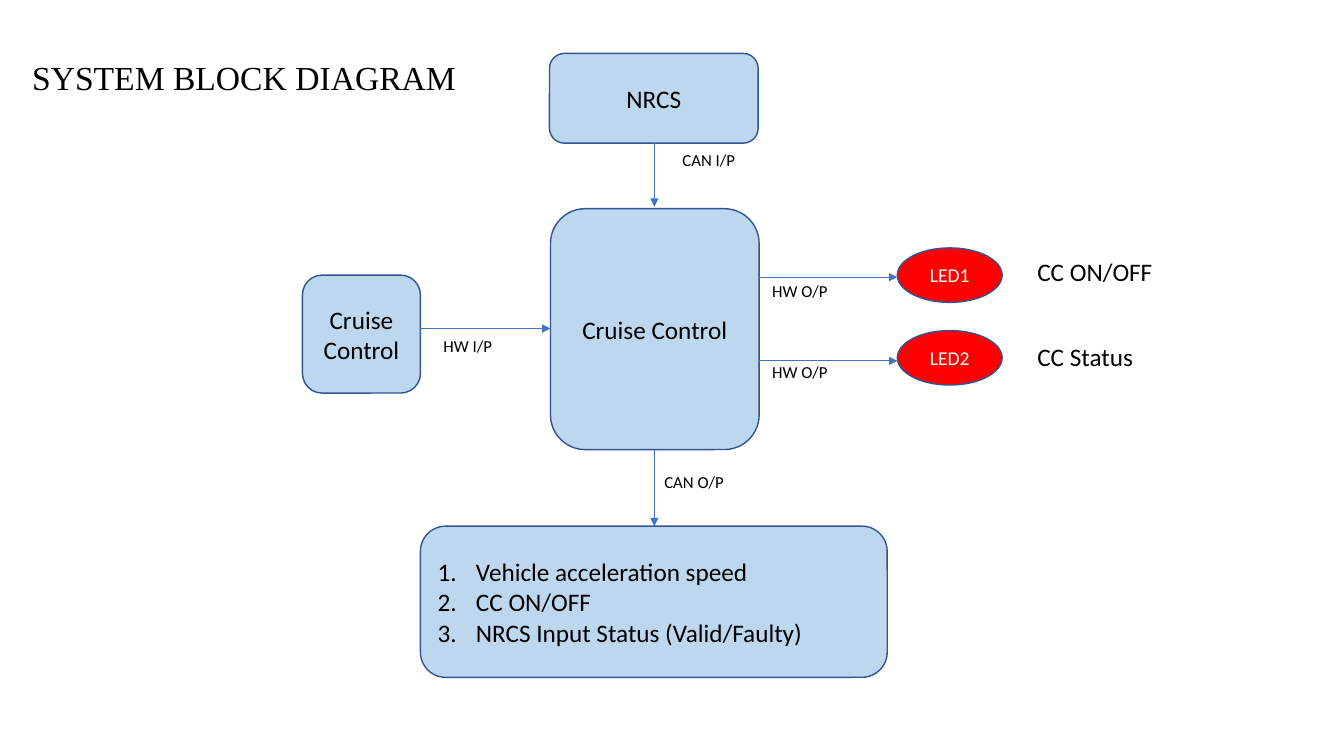
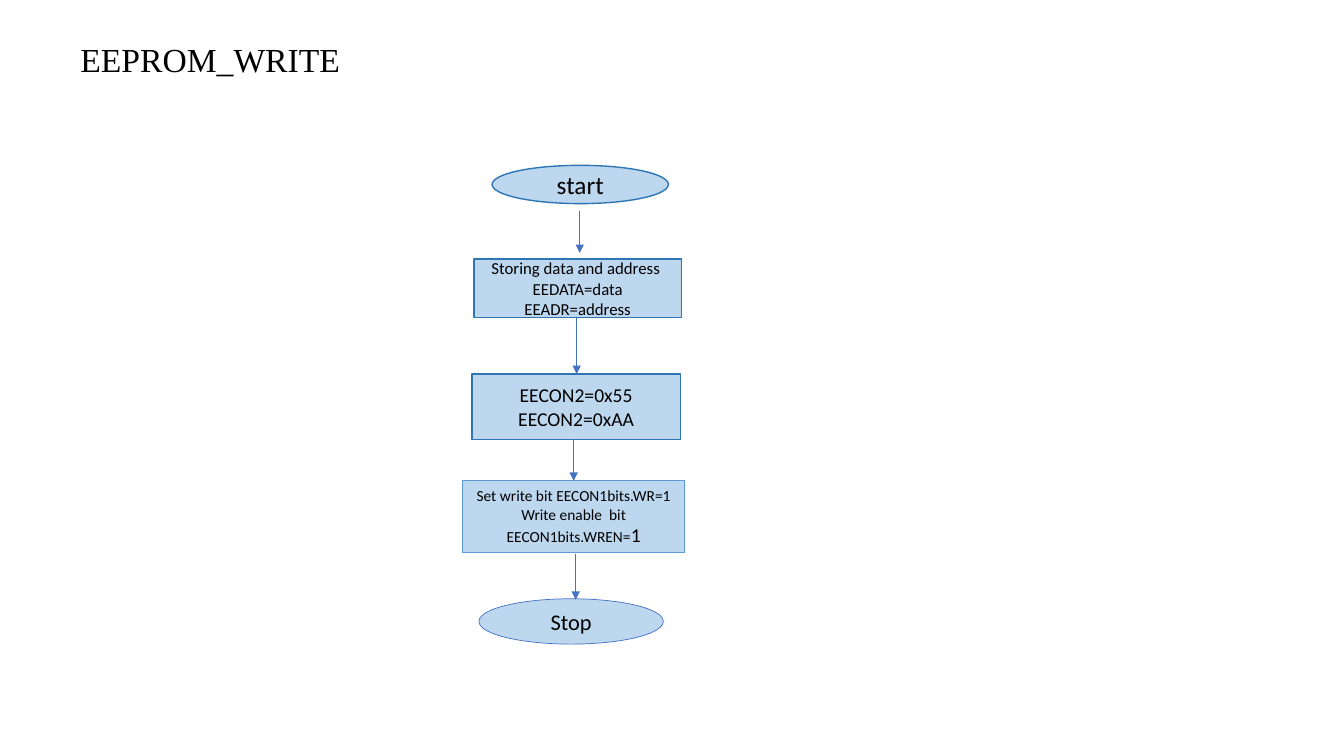
from lxml import etree
from pptx import Presentation
from pptx.dml.color import RGBColor
from pptx.enum import shapes, text
from pptx.oxml import ns
from pptx.util import Inches, Pt

# Shared style
BLACK = RGBColor(0x00, 0x00, 0x00)
WHITE = RGBColor(0xFF, 0xFF, 0xFF)
RED = RGBColor(0xFF, 0x00, 0x00)
PALE_BLUE = RGBColor(0xBD, 0xD7, 0xEE)
NAVY = RGBColor(0x32, 0x54, 0x91)
STEEL = RGBColor(0x2E, 0x75, 0xB6)
SKY = RGBColor(0x5B, 0x9B, 0xD5)
BLUE = RGBColor(0x44, 0x72, 0xC4)

ROUNDED = shapes.MSO_SHAPE.ROUNDED_RECTANGLE
RECTANGLE = shapes.MSO_SHAPE.RECTANGLE
OVAL = shapes.MSO_SHAPE.OVAL
MIDDLE = text.MSO_ANCHOR.MIDDLE
LEFT = text.PP_ALIGN.LEFT
CENTER = text.PP_ALIGN.CENTER

TITLE = {"name": "Times New Roman", "size": Pt(24)}
FRAME = {"word_wrap": True, "vertical_anchor": MIDDLE}
LABEL = {"word_wrap": True, "auto_size": text.MSO_AUTO_SIZE.SHAPE_TO_FIT_TEXT}


def add_block(slide, kind, box, lines, font, frame=FRAME, align=CENTER,
              fill=PALE_BLUE, line=(NAVY, 1), color=BLACK):
    """Add a filled shape, or a plain text box when kind is None."""
    box = [Inches(length) for length in box]
    if kind is None:
        shape = slide.shapes.add_textbox(*box)
    else:
        shape = slide.shapes.add_shape(kind, *box)
        shape.shadow.inherit = False
        shape.fill.solid()
        shape.fill.fore_color.rgb = fill
        shape.line.color.rgb = line[0]
        shape.line.width = Pt(line[1])
    for key, value in frame.items():
        setattr(shape.text_frame, key, value)
    shape.text_frame.text = "\n".join(lines)
    for paragraph in shape.text_frame.paragraphs:
        paragraph.alignment = align
        for run in paragraph.runs:
            for key, value in {"name": "Calibri", **font}.items():
                setattr(run.font, key, value)
            run.font.color.rgb = color
    return shape


def add_arrow(slide, *ends):
    """Add a thin line with an arrowhead at its far end."""
    arrow = slide.shapes.add_connector(
        shapes.MSO_CONNECTOR.STRAIGHT, *[Inches(end) for end in ends])
    arrow.line.color.rgb = BLUE
    arrow.line.width = Pt(0.5)
    etree.SubElement(arrow.line._get_or_add_ln(), ns.qn("a:tailEnd"), type="triangle")
    etree.SubElement(arrow._element.spPr, ns.qn("a:effectLst"))


presentation = Presentation()
presentation.slide_width = Inches(13.33)
presentation.slide_height = Inches(7.5)

# Slides and titles
slides = []
for title, box in [
    ("SYSTEM BLOCK DIAGRAM", (0.22, 0.41, 4.49, 0.75)),
    ("EEPROM_WRITE", (0.7, 0.36, 2.87, 0.5)),
]:
    slide = presentation.slides.add_slide(presentation.slide_layouts[6])
    heading = add_block(slide, None, box, [title], TITLE, align=LEFT)
    heading.text_frame.paragraphs[0].line_spacing = 0.9
    slides.append(slide)
diagram, flowchart = slides

# Block diagram: blocks
for name, box in [
    ("Cruise Control", (5.46, 2.07, 2.07, 2.39)),
    ("NRCS", (5.45, 0.53, 2.07, 0.89)),
    ("Cruise Control", (3, 2.73, 1.17, 1.17)),
]:
    add_block(diagram, ROUNDED, box, [name], {"size": Pt(18)})

# Block diagram: numbered outputs
outputs = add_block(
    diagram, ROUNDED, (4.17, 5.22, 4.63, 1.5),
    ["Vehicle acceleration speed", "CC ON/OFF", "NRCS Input Status (Valid/Faulty)"],
    {"size": Pt(18)}, align=LEFT)
for paragraph in outputs.text_frame.paragraphs:
    properties = paragraph._p.get_or_add_pPr()
    properties.set("marL", str(Inches(0.38)))
    properties.set("indent", str(-Inches(0.38)))
    etree.SubElement(properties, ns.qn("a:buAutoNum"), type="arabicPeriod")

# Block diagram: LEDs with their meanings
for name, meaning, top, meaning_top in [
    ("LED1", "CC ON/OFF", 2.46, 2.49),
    ("LED2", "CC Status", 3.28, 3.34),
]:
    add_block(diagram, OVAL, (8.9, top, 1.04, 0.54), [name], {"size": Pt(14)},
              fill=RED, color=WHITE)
    add_block(diagram, None, (10.19, meaning_top, 1.86, 0.41), [meaning],
              {"size": Pt(18)}, frame=LABEL, align=LEFT)

# Block diagram: signals
for signal, left, top, ends in [
    ("CAN I/P", 6.67, 1.44, (6.49, 1.42, 6.49, 2.05)),
    ("HW I/P", 4.3, 3.28, (4.17, 3.26, 5.46, 3.26)),
    ("HW O/P", 7.56, 2.74, (7.53, 2.75, 8.9, 2.75)),
    ("HW O/P", 7.56, 3.54, (7.53, 3.58, 8.9, 3.58)),
    ("CAN O/P", 6.49, 4.63, (6.49, 4.46, 6.49, 5.22)),
]:
    add_arrow(diagram, *ends)
    add_block(diagram, None, (left, top, 1.24, 0.3), [signal], {"size": Pt(12)},
              frame=LABEL, align=LEFT)

# Flowchart: steps
steps = [
    add_block(flowchart, kind, box, lines, {"size": Pt(size)}, line=line)
    for kind, box, lines, size, line in [
        (OVAL, (4.88, 1.64, 1.75, 0.38), ["start"], 18, (STEEL, 1)),
        (RECTANGLE, (4.7, 2.57, 2.06, 0.58),
         ["Storing data and address ", "EEDATA=data", "EEADR=address"], 12, (STEEL, 1)),
        (RECTANGLE, (4.68, 3.71, 2.07, 0.65),
         ["EECON2=0x55", "EECON2=0xAA"], 14, (STEEL, 1)),
        (RECTANGLE, (4.59, 4.77, 2.2, 0.71),
         ["Set write bit EECON1bits.WR=1", "Write enable  bit EECON1bits.WREN="],
         11, (SKY, 0.5)),
        (OVAL, (4.75, 5.94, 1.83, 0.45), ["Stop"], 16, (BLUE, 0.5)),
    ]
]

# Flowchart: larger bit value in the write step
bit_value = steps[3].text_frame.paragraphs[-1].add_run()
bit_value.text = "1"
for key, value in {"name": "Calibri", "size": Pt(14)}.items():
    setattr(bit_value.font, key, value)
bit_value.font.color.rgb = BLACK

# Flowchart: arrows
for x, top, bottom in [
    (5.75, 2.09, 2.51), (5.72, 3.15, 3.71), (5.69, 4.36, 4.77), (5.71, 5.5, 5.95),
]:
    add_arrow(flowchart, x, top, x, bottom)

presentation.save("out.pptx")
